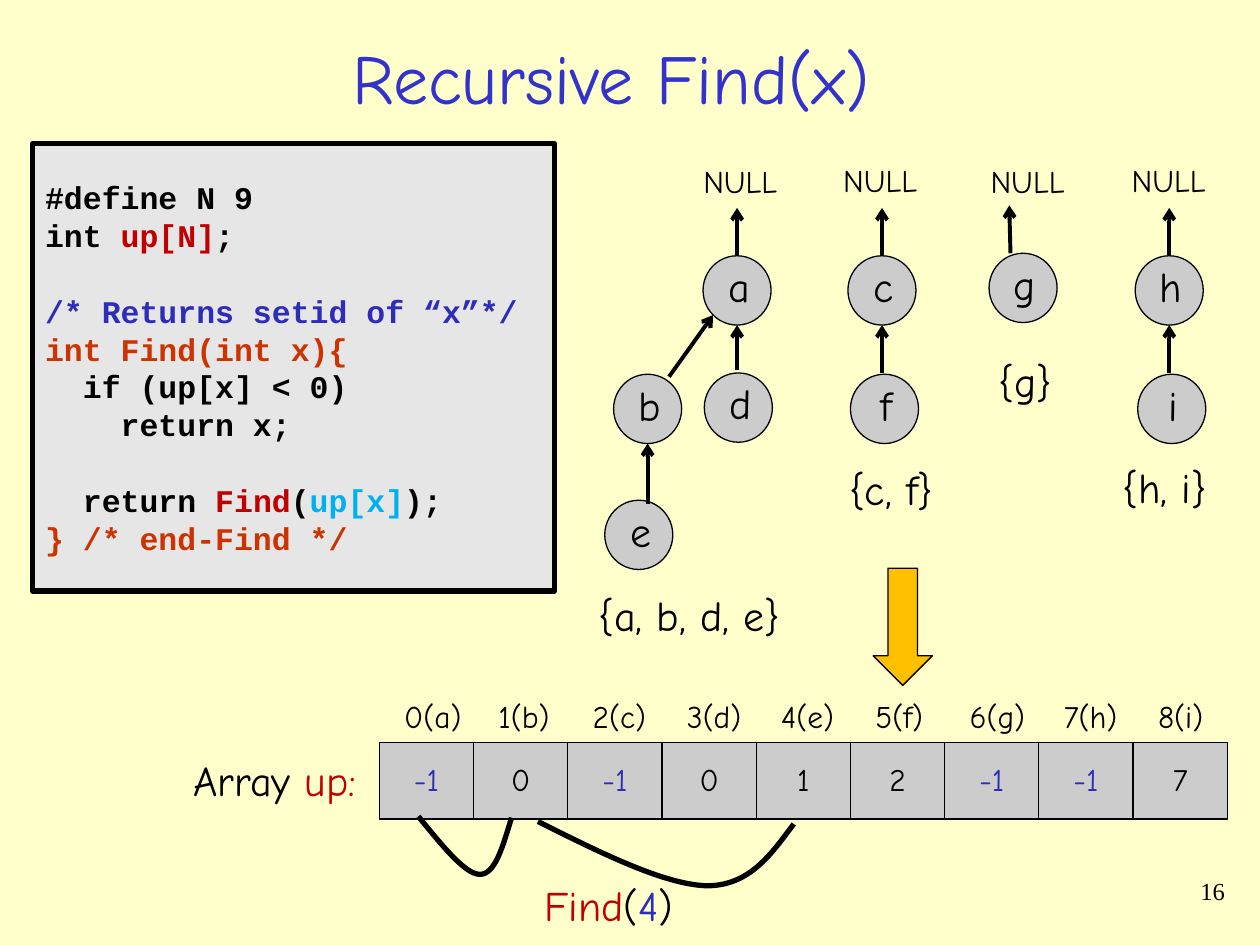
from pptx import Presentation
from pptx.dml.color import RGBColor
from pptx.enum.shapes import MSO_CONNECTOR, MSO_SHAPE
from pptx.enum.text import MSO_ANCHOR, PP_ALIGN
from pptx.oxml.ns import qn
from pptx.util import Inches, Pt

LEFT, CENTER, RIGHT = PP_ALIGN.LEFT, PP_ALIGN.CENTER, PP_ALIGN.RIGHT
TOP, MIDDLE = MSO_ANCHOR.TOP, MSO_ANCHOR.MIDDLE
RECT, OVAL, DOWN = MSO_SHAPE.RECTANGLE, MSO_SHAPE.OVAL, MSO_SHAPE.DOWN_ARROW
STRAIGHT = MSO_CONNECTOR.STRAIGHT

HAND, CODE, SERIF = "Comic Neue", "Courier New", "Times New Roman"
BLACK, RED, BLUE, ORANGE, CYAN = "000000", "C00000", "2D2DB9", "CC3300", "00B0F0"
GRAY = "CCCCCC"

# Each line of text is a list of (words, colour) runs.
CODE_LINES = [
    [("#define N 9", BLACK)],
    [("int ", BLACK), ("up[N]", RED), (";", BLACK)],
    [],
    [("/* Returns setid of “x”*/", BLUE)],
    [("int Find(int x){", ORANGE)],
    [("  if (up[x] < 0)", BLACK)],
    [("    return x;", BLACK)],
    [],
    [("  return ", BLACK), ("Find", RED), ("(", BLACK), ("up[x]", CYAN), (");", BLACK)],
    [("} /* end-Find */", ORANGE)],
]
NODES = [  # name, left, top
    ("a", 5.58, 2.03), ("b", 4.87, 2.97), ("d", 5.59, 2.96), ("e", 4.8, 3.97),
    ("c", 6.73, 2.03), ("f", 6.75, 2.97), ("g", 7.85, 2.01),
    ("h", 9.01, 2.03), ("i", 9.03, 2.97),
]
PARENT_LINKS = [  # child end, parent end
    ((5.31, 2.99), (5.66, 2.5)), ((5.85, 2.94), (5.85, 2.58)),
    ((5.14, 4), (5.14, 3.52)), ((7, 2.96), (7, 2.58)), ((9.28, 2.96), (9.28, 2.58)),
    ((5.85, 2.03), (5.85, 1.65)), ((7, 2.03), (7, 1.65)),
    ((8.02, 2.01), (8.01, 1.63)), ((9.28, 2.03), (9.28, 1.65)),
]
NULLS = [(5.48, 1.24), (6.59, 1.23), (7.76, 1.24), (8.88, 1.23)]
SETS = [  # members, left, top, width
    ("{a, b, d, e}", 4.65, 4.63, 1.64), ("{c, f}", 6.64, 3.63, 0.87),
    ("{g}", 7.74, 2.77, 0.8), ("{h, i}", 8.81, 3.61, 0.87),
]
UP = [("a", -1), ("b", 0), ("c", -1), ("d", 0), ("e", 1),
      ("f", 2), ("g", -1), ("h", -1), ("i", 7)]
ARRAY_LEFT, ARRAY_TOP, CELL_W, CELL_H = 3.01, 5.89, 0.75, 0.61
ARRAY_W = 6.73
FIND_STEPS = [  # start point, then three points for each Bézier piece
    [(6.3, 6.54), (6.12, 6.78), (5.95, 7.03), (5.61, 7.03),
     (5.27, 7.02), (4.77, 6.77), (4.27, 6.52)],
    [(4.06, 6.49), (3.99, 6.72), (3.93, 6.94), (3.81, 6.94),
     (3.69, 6.94), (3.51, 6.71), (3.32, 6.48)],
]

prs = Presentation()
prs.slide_width, prs.slide_height = Inches(10), Inches(7.5)
slide = prs.slides.add_slide(prs.slide_layouts[6])
shapes = slide.shapes


def rgb(color):
    return RGBColor.from_string(color)


def write(shape, lines, size, font=HAND, align=CENTER, anchor=TOP, bold=False, wrap=False):
    frame = shape.text_frame
    frame.word_wrap, frame.vertical_anchor = wrap, anchor
    for n, line in enumerate(lines):
        paragraph = frame.add_paragraph() if n else frame.paragraphs[0]
        paragraph.alignment = align
        paragraph.font.size, paragraph.font.name = Pt(size), font
        for words, color in line:
            run = paragraph.add_run()
            run.text = words
            run.font.size, run.font.name, run.font.bold = Pt(size), font, bold
            run.font.color.rgb = rgb(color)


def label(runs, left, top, width, height, size, **style):
    box = shapes.add_textbox(Inches(left), Inches(top), Inches(width), Inches(height))
    write(box, [runs], size, **style)


def outline(shape, weight):
    shape.shadow.inherit = False
    shape.line.color.rgb, shape.line.width = rgb(BLACK), Pt(weight)


def block(kind, left, top, width, height, fill, weight=0.75):
    shape = shapes.add_shape(kind, Inches(left), Inches(top), Inches(width), Inches(height))
    shape.fill.solid()
    shape.fill.fore_color.rgb = rgb(fill)
    outline(shape, weight)
    return shape


def arrow(start, end):
    link = shapes.add_connector(STRAIGHT, *map(Inches, start + end))
    link.line.color.rgb, link.line.width = rgb(BLACK), Pt(2.25)
    properties = link._element.spPr
    ln = properties.find(qn("a:ln"))
    ln.append(ln.makeelement(qn("a:tailEnd"), {"type": "arrow"}))
    properties.append(properties.makeelement(qn("a:effectLst"), {}))


def curve(points):
    """Draw a polyline, then turn every three segments into one Bézier piece."""
    (x, y), *rest = [(Inches(px), Inches(py)) for px, py in points]
    builder = shapes.build_freeform(x, y)
    builder.add_line_segments(rest, close=False)
    shape = builder.convert_to_shape()
    shape.fill.background()
    outline(shape, 3)
    segments = list(shape._element.iter(qn("a:lnTo")))
    for first, second, third in zip(*[iter(segments)] * 3):
        bezier = first.makeelement(qn("a:cubicBezTo"), {})
        first.addprevious(bezier)
        for segment in (first, second, third):
            bezier.append(segment[0])
            segment.getparent().remove(segment)


slide.background.fill.solid()
slide.background.fill.fore_color.rgb = rgb("FFFFCC")

label([("Recursive Find(x)", "3333CC")], 0.37, 0.26, 8.96, 0.69, 40, anchor=MIDDLE, wrap=True)
label([("16", BLACK)], 7.74, 6.9, 2.08, 0.5, 14, font=SERIF, align=RIGHT, wrap=True)

listing = block(RECT, 0.26, 1.14, 4.14, 3.55, "E6E6E6", 3)
write(listing, CODE_LINES, 18, font=CODE, align=LEFT, anchor=MIDDLE, bold=True, wrap=True)

for name, left, top in NODES:
    node = block(OVAL, left, top, 0.54, 0.55, GRAY)
    frame = node.text_frame
    frame.margin_right = frame.margin_top = 0
    frame.margin_left, frame.margin_bottom = Inches(0.03), Inches(0.07)
    write(node, [[(name, BLACK)]], 24, anchor=MIDDLE)
for child, parent in PARENT_LINKS:
    arrow(child, parent)
for left, top in NULLS:
    label([("NULL", BLACK)], left, top, 0.79, 0.4, 18)
for members, left, top, width in SETS:
    label([(members, BLACK)], left, top, width, 0.5, 24)

block(DOWN, 6.93, 4.51, 0.47, 0.93, "FFC000")

pitch = ARRAY_W / len(UP)
for index, (name, parent) in enumerate(UP):
    left = ARRAY_LEFT + index * pitch
    cell = block(RECT, left, ARRAY_TOP, CELL_W, CELL_H, GRAY)
    cell.text_frame.margin_bottom = Inches(0.08)
    write(cell, [[(str(parent), BLUE if parent < 0 else BLACK)]], 18, anchor=MIDDLE)
    label([(f"{index}({name})", BLACK)], left + 0.1, ARRAY_TOP - 0.41, 0.75, 0.4, 18,
          align=LEFT, wrap=True)

label([("Array ", BLACK), ("up:", RED)], 1.43, 5.94, 1.5, 0.5, 24)
for step in FIND_STEPS:
    curve(step)
label([("Find", RED), ("(", BLACK), ("4", BLUE), (")", BLACK)], 4.22, 6.93, 1.22, 0.5, 24)

prs.save("out.pptx")
